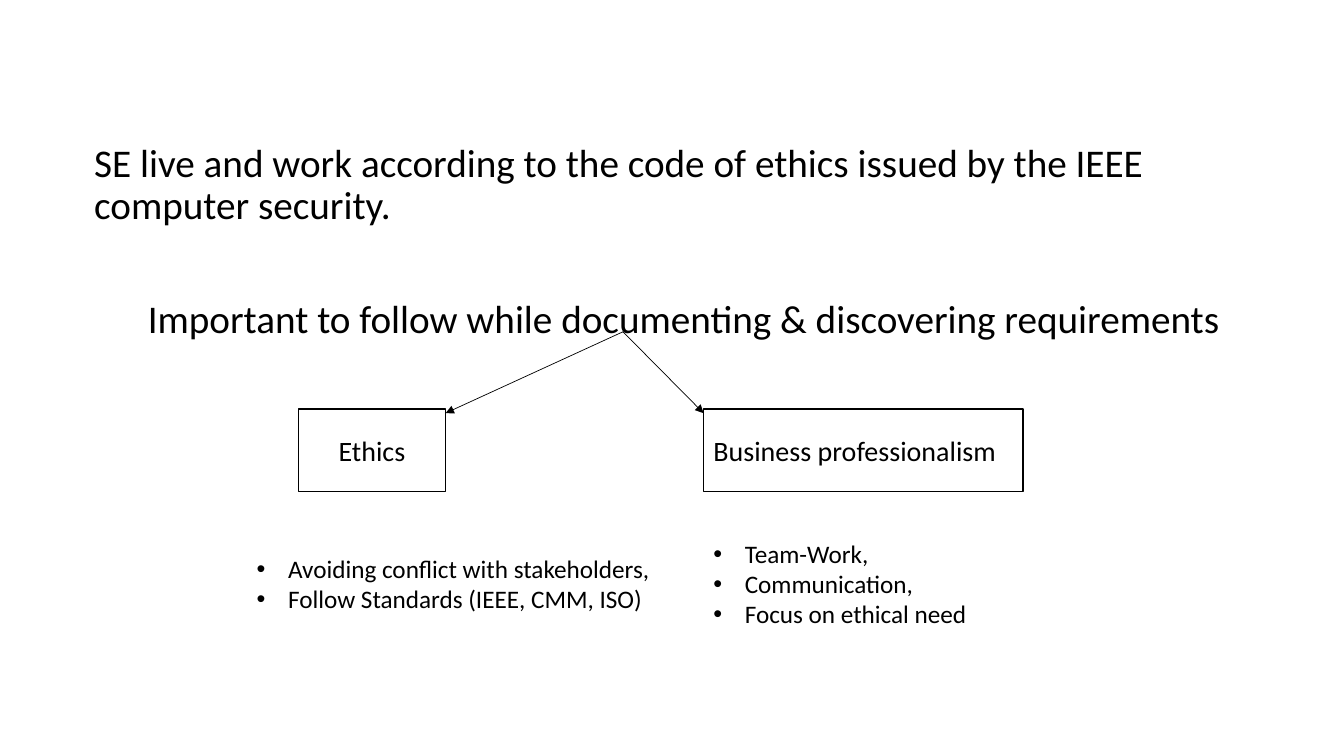
from lxml import etree
from pptx import Presentation
from pptx.dml.color import RGBColor
from pptx.enum.shapes import MSO_CONNECTOR, MSO_SHAPE
from pptx.enum.text import MSO_ANCHOR, MSO_AUTO_SIZE, PP_ALIGN
from pptx.oxml.ns import qn
from pptx.util import Cm, Pt

RECTANGLE = MSO_SHAPE.RECTANGLE
STRAIGHT = MSO_CONNECTOR.STRAIGHT
MIDDLE = MSO_ANCHOR.MIDDLE
LEFT, CENTER = PP_ALIGN.LEFT, PP_ALIGN.CENTER
NO_FIT, FIT_SHAPE = MSO_AUTO_SIZE.NONE, MSO_AUTO_SIZE.SHAPE_TO_FIT_TEXT

COLORS = {"ink": "000000"}
FONT = "Calibri"
BOX_TOP, BOX_HEIGHT = 10.31, 2.08
BUSINESS_LEFT = 17.73
ARROW_START = (15.7, 8.36)
ARROW_END_Y = 10.41


def ink():
    return RGBColor.from_string(COLORS["ink"])


def format_text(paragraph, size):
    for run in paragraph.runs:
        run.font.name = FONT
        run.font.size = Pt(size)
        run.font.color.rgb = ink()


def set_indent(paragraph, margin, indent, bullet=None):
    properties = paragraph._p.get_or_add_pPr()
    properties.set("marL", str(Cm(margin)))
    properties.set("indent", str(Cm(indent)))
    if bullet:
        etree.SubElement(properties, qn("a:buFont")).set("typeface", "Arial")
        etree.SubElement(properties, qn("a:buChar")).set("char", bullet)
    else:
        etree.SubElement(properties, qn("a:buNone"))


def fill_statements(body):
    body.left, body.top = Cm(2.12), Cm(3.48)
    body.width, body.height = Cm(29.21), Cm(12.09)
    frame = body.text_frame
    frame.text = (
        "SE live and work according to the code of ethics issued by the IEEE computer security.\n"
        "Important to follow while documenting & discovering requirements"
    )
    frame.auto_size = NO_FIT
    # The second statement stands lower and further in
    for paragraph, space, indent in zip(frame.paragraphs, (10, 51), (0, 1.35)):
        paragraph.line_spacing = 0.9
        paragraph.space_before = Pt(space)
        set_indent(paragraph, 0, indent)
        format_text(paragraph, 28)


def add_box(slide, label, left, width, alignment):
    box = slide.shapes.add_shape(
        RECTANGLE, Cm(left), Cm(BOX_TOP), Cm(width), Cm(BOX_HEIGHT))
    box.shadow.inherit = False
    box.fill.background()
    box.line.color.rgb = ink()
    box.line.width = Pt(1)
    frame = box.text_frame
    frame.text = label
    frame.vertical_anchor = MIDDLE
    frame.paragraphs[0].alignment = alignment
    format_text(frame.paragraphs[0], 20)


def add_bullets(slide, items, left, top, width, height):
    bullets = slide.shapes.add_textbox(Cm(left), Cm(top), Cm(width), Cm(height))
    frame = bullets.text_frame
    frame.text = "\n".join(items)
    frame.word_wrap = False
    frame.auto_size = FIT_SHAPE
    for paragraph in frame.paragraphs:
        set_indent(paragraph, 0.79, -0.79, "•")
        format_text(paragraph, 18)


def add_arrow(slide, end_x):
    start_x, start_y = ARROW_START
    arrow = slide.shapes.add_connector(
        STRAIGHT, Cm(start_x), Cm(start_y), Cm(end_x), Cm(ARROW_END_Y))
    arrow.line.color.rgb = ink()
    arrow.line.width = Pt(0.5)
    etree.SubElement(arrow.line._get_or_add_ln(), qn("a:tailEnd")).set("type", "triangle")
    etree.SubElement(arrow._element.spPr, qn("a:effectLst"))


def main():
    prs = Presentation()
    prs.slide_width, prs.slide_height = Cm(33.87), Cm(19.05)
    slide = prs.slides.add_slide(prs.slide_layouts[1])

    # The slide has no title
    title = slide.shapes.title._element
    title.getparent().remove(title)

    # Statements
    fill_statements(slide.placeholders[1])

    # Two sides of conduct
    add_box(slide, "Ethics", 7.52, 3.71, CENTER)
    add_box(slide, "Business professionalism", BUSINESS_LEFT, 8.05, LEFT)

    # Details below each box
    add_bullets(slide, ["Avoiding conflict with stakeholders,",
                        "Follow Standards (IEEE, CMM, ISO)"], 6.22, 13.82, 10.54, 1.8)
    add_bullets(slide, ["Team-Work,", "Communication,", "Focus on ethical need"],
                BUSINESS_LEFT, 13.44, 6.96, 2.57)

    # Arrows from the second statement to the near corners of the boxes
    for corner_x in (11.23, BUSINESS_LEFT):
        add_arrow(slide, corner_x)

    prs.save("out.pptx")


if __name__ == "__main__":
    main()
